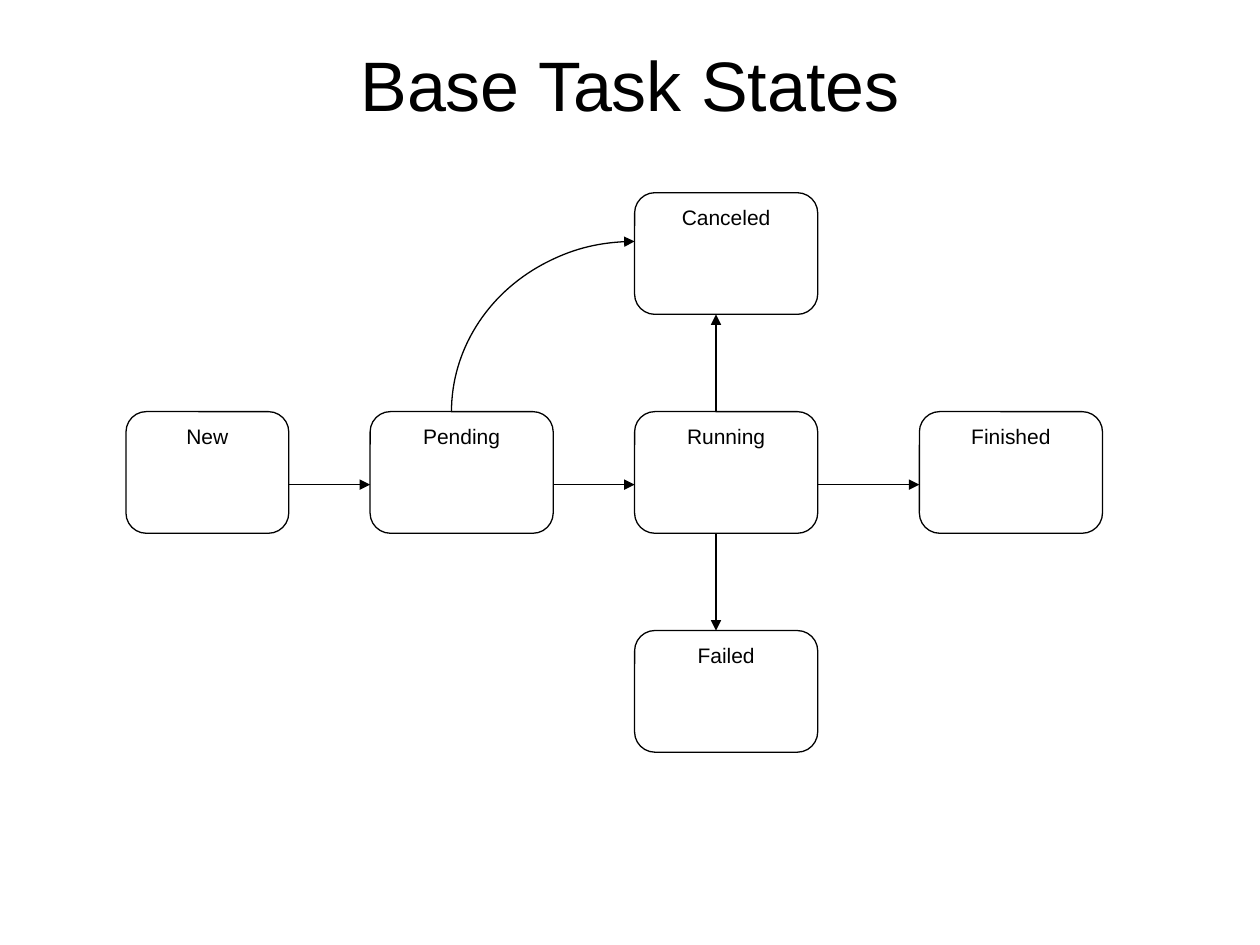
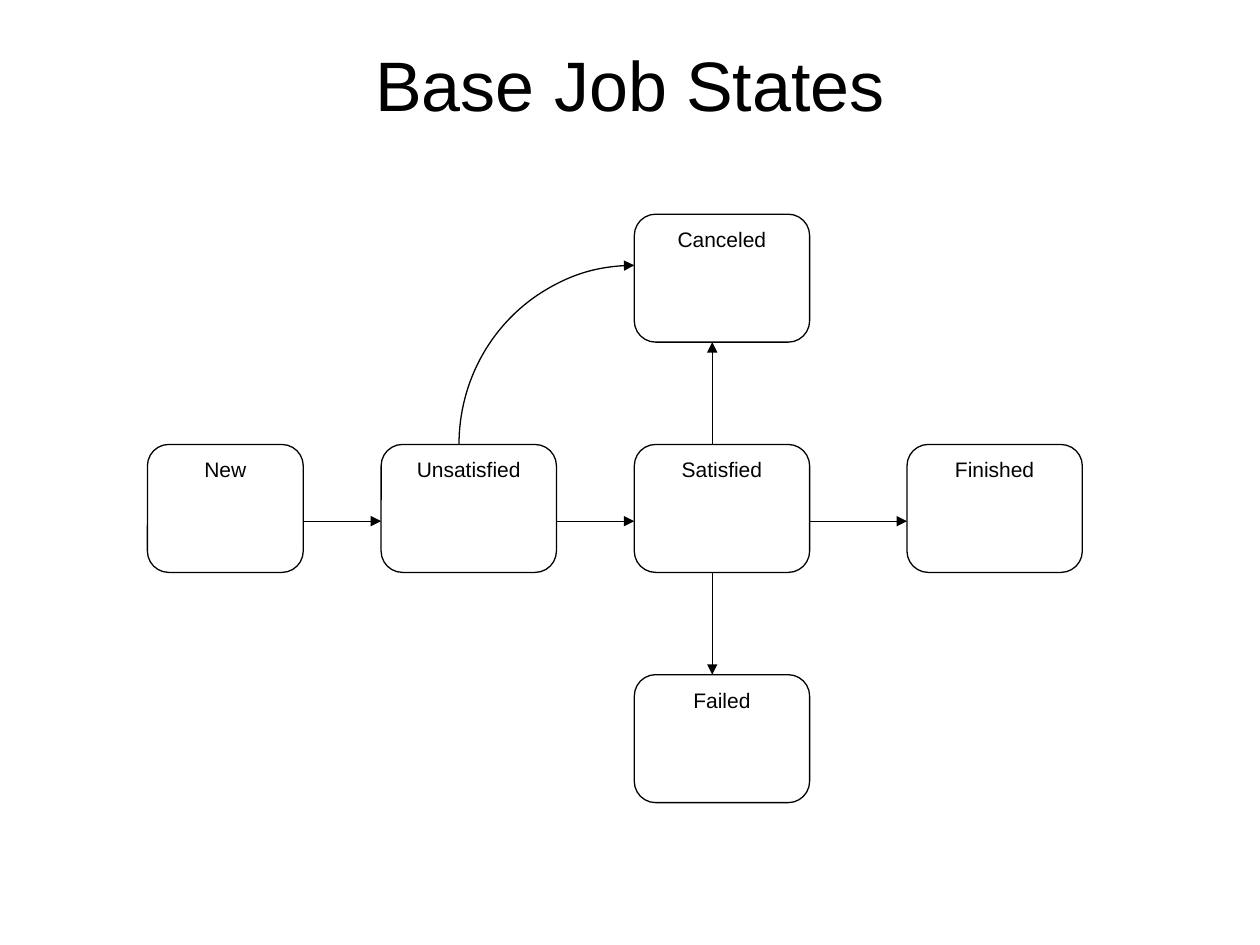
from lxml import etree
from pptx import Presentation
from pptx.dml.color import RGBColor
from pptx.enum.shapes import MSO_CONNECTOR, MSO_SHAPE
from pptx.enum.text import MSO_ANCHOR, PP_ALIGN
from pptx.oxml.ns import qn
from pptx.util import Inches, Pt

ROUNDED = MSO_SHAPE.ROUNDED_RECTANGLE
ARC = MSO_SHAPE.ARC
STRAIGHT = MSO_CONNECTOR.STRAIGHT
CENTER = PP_ALIGN.CENTER
TOP = MSO_ANCHOR.TOP
MIDDLE = MSO_ANCHOR.MIDDLE

COLORS = {"ink": "000000", "paper": "FFFFFF"}
FONTS = {
    "title": {"name": "Arial", "size": Pt(40), "bold": False},
    "state": {"name": "Arial", "size": Pt(12), "bold": False},
}
TITLE_BOX = (0.42, 0.25, 9.16, 0.82)

GRID_COLUMNS, GRID_ROWS = 48, 23
STATE_HEIGHT = 5
STATE_CELLS = [(0, 9, 8), (12, 9, 9), (25, 9, 9), (39, 9, 9), (25, 0, 9), (25, 18, 9)]
ARROWS = [
    ((8, 12), (12, 12)),
    ((21, 12), (25, 12)),
    ((34, 12), (39, 12)),
    ((29, 9), (29, 5)),
    ((29, 14), (29, 18)),
]
CANCEL_ARC = (16, 2, 18, 14)
ARC_ANGLES = (180, 270)
ANGLE_UNIT = 0.6

SLIDES = [
    {
        "title": "Base Task States",
        "box": (1, 1.53, 7.75, 4.44),
        "states": ["New", "Pending", "Running", "Finished", "Canceled", "Failed"],
    },
    {
        "title": "Base Job States",
        "box": (1.17, 1.7, 7.42, 4.67),
        "states": ["New", "Unsatisfied", "Satisfied", "Finished", "Canceled", "Failed"],
    },
]


def color(name):
    return RGBColor.from_string(COLORS[name])


def write_text(shape, text, style, anchor):
    frame = shape.text_frame
    frame.word_wrap = True
    frame.vertical_anchor = anchor
    paragraph = frame.paragraphs[0]
    paragraph.text = text
    paragraph.alignment = CENTER
    for attribute, value in FONTS[style].items():
        setattr(paragraph.font, attribute, value)
    paragraph.font.color.rgb = color("ink")


def draw_outline(shape, arrow=False):
    shape.line.color.rgb = color("ink")
    shape.line.width = Pt(0.75)
    if arrow:
        tail = etree.SubElement(shape.line._get_or_add_ln(), qn("a:tailEnd"))
        tail.set("type", "triangle")


def add_title(slide, text, box):
    title = slide.shapes.add_textbox(*map(Inches, box))
    write_text(title, text, "title", MIDDLE)


def add_state(shapes, text, box):
    state = shapes.add_shape(ROUNDED, *box)
    state.shadow.inherit = False
    state.fill.solid()
    state.fill.fore_color.rgb = color("paper")
    draw_outline(state)
    write_text(state, text, "state", TOP)


def add_arrow(shapes, start, end):
    arrow = shapes.add_connector(STRAIGHT, *start, *end)
    draw_outline(arrow, arrow=True)
    etree.SubElement(arrow._element.spPr, qn("a:effectLst"))


def add_cancel_arc(shapes, box):
    arc = shapes.add_shape(ARC, *box)
    arc.shadow.inherit = False
    arc.fill.background()
    for index, angle in enumerate(ARC_ANGLES):
        arc.adjustments[index] = angle * ANGLE_UNIT
    draw_outline(arc, arrow=True)


def add_state_diagram(slide, states, box):
    left, top, width, height = box
    unit_x, unit_y = width / GRID_COLUMNS, height / GRID_ROWS

    def point(column, row):
        return Inches(left + column * unit_x), Inches(top + row * unit_y)

    def area(column, row, columns, rows):
        return *point(column, row), Inches(columns * unit_x), Inches(rows * unit_y)

    shapes = slide.shapes.add_group_shape().shapes
    for text, cell in zip(states, STATE_CELLS):
        add_state(shapes, text, area(*cell, STATE_HEIGHT))
    for start, end in ARROWS:
        add_arrow(shapes, point(*start), point(*end))
    add_cancel_arc(shapes, area(*CANCEL_ARC))


def main():
    presentation = Presentation()
    presentation.slide_width = Inches(10)
    presentation.slide_height = Inches(7.5)
    blank = presentation.slide_layouts[6]
    for content in SLIDES:
        slide = presentation.slides.add_slide(blank)
        add_title(slide, content["title"], TITLE_BOX)
        add_state_diagram(slide, content["states"], content["box"])
    presentation.save("out.pptx")


if __name__ == "__main__":
    main()
